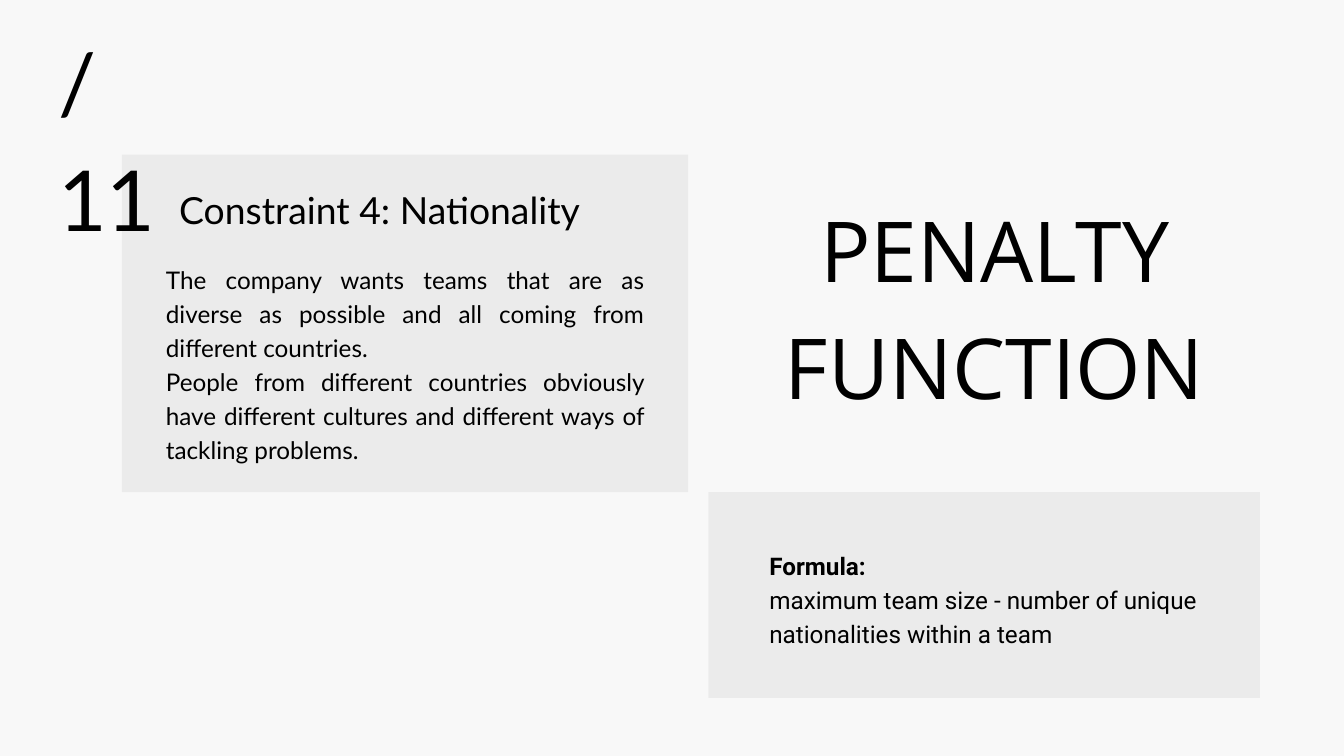
import dataclasses

import lxml.etree
import pptx
import pptx.dml.color
import pptx.enum.shapes
import pptx.enum.text
import pptx.oxml.ns
import pptx.util

EMU_PER_PX = 9525
ALIGN = pptx.enum.text.PP_ALIGN


@dataclasses.dataclass(frozen=True)
class Theme:
    background: str = "F8F8F8"
    ink: str = "000000"
    panel_opacity: int = 5
    line_spacing: float = 1.4
    body_size: int = 26
    heading_size: int = 40
    display_size: int = 90
    main_font: str = "Lato"
    title_font: str = "Open Sans"
    formula_font: str = "Roboto"


THEME = Theme()


def px(length):
    return pptx.util.Emu(length * EMU_PER_PX)


def color(value):
    return pptx.dml.color.RGBColor.from_string(value)


def set_background(page):
    fill = page.background.fill
    fill.solid()
    fill.fore_color.rgb = color(THEME.background)


def add_panel(page, left, top, width, height):
    """Add a borderless rectangle of faintly opaque ink."""
    panel = page.shapes.add_shape(
        pptx.enum.shapes.MSO_SHAPE.RECTANGLE, *map(px, (left, top, width, height)))
    panel.shadow.inherit = False
    panel.line.fill.background()
    panel.fill.solid()
    panel.fill.fore_color.rgb = color(THEME.ink)
    ink = panel.fill._xPr.find(".//" + pptx.oxml.ns.qn("a:srgbClr"))
    lxml.etree.SubElement(ink, pptx.oxml.ns.qn("a:alpha"),
                          val=str(THEME.panel_opacity * 1000))


def add_text(page, bounds, lines, font, size, align=ALIGN.LEFT, indent=0, bold_lines=()):
    """Add one paragraph per line; indent is the left inset of the box."""
    box = page.shapes.add_textbox(*map(px, bounds))
    frame = box.text_frame
    frame_format = {
        "word_wrap": True,
        "auto_size": pptx.enum.text.MSO_AUTO_SIZE.SHAPE_TO_FIT_TEXT,
        "margin_left": px(indent), "margin_right": 0,
        "margin_top": 0, "margin_bottom": 0,
    }
    for name, value in frame_format.items():
        setattr(frame, name, value)
    for index, line in enumerate(lines):
        para = frame.paragraphs[0] if index == 0 else frame.add_paragraph()
        para.alignment = align
        para.line_spacing = pptx.util.Pt(round(size * THEME.line_spacing, 1))
        span = para.add_run()
        span.text = line
        span.font.color.rgb = color(THEME.ink)
        span_format = {"name": font, "size": pptx.util.Pt(size), "bold": index in bold_lines}
        for name, value in span_format.items():
            setattr(span.font, name, value)


def main():
    deck = pptx.Presentation()
    deck.slide_width, deck.slide_height = px(1920), px(1080)
    page = deck.slides.add_slide(deck.slide_layouts[6])
    set_background(page)

    add_text(page, (237, 372, 684, 288), [
        "The company wants teams that are as diverse as possible and all coming "
        "from different countries.",
        "People from different countries obviously have different cultures and "
        "different ways of tackling problems.",
    ], THEME.main_font, THEME.body_size, ALIGN.JUSTIFY)
    add_text(page, (256, 257, 684, 72), ["Constraint 4: Nationality"],
             THEME.main_font, THEME.heading_size)
    add_text(page, (1099, 781, 620, 142), [
        "Formula:",
        "maximum team size - number of unique nationalities within a team",
    ], THEME.formula_font, THEME.body_size, bold_lines=(0,))
    add_text(page, (83, 19, 192, 160), ["/11"], THEME.main_font, THEME.display_size)

    add_panel(page, 174, 221, 809, 482)
    add_panel(page, 1012, 703, 788, 294)
    add_text(page, (1069, 259, 673, 329), ["PENALTY", "FUNCTION"],
             THEME.title_font, THEME.display_size, ALIGN.CENTER, indent=31)

    deck.save("out.pptx")


if __name__ == "__main__":
    main()
